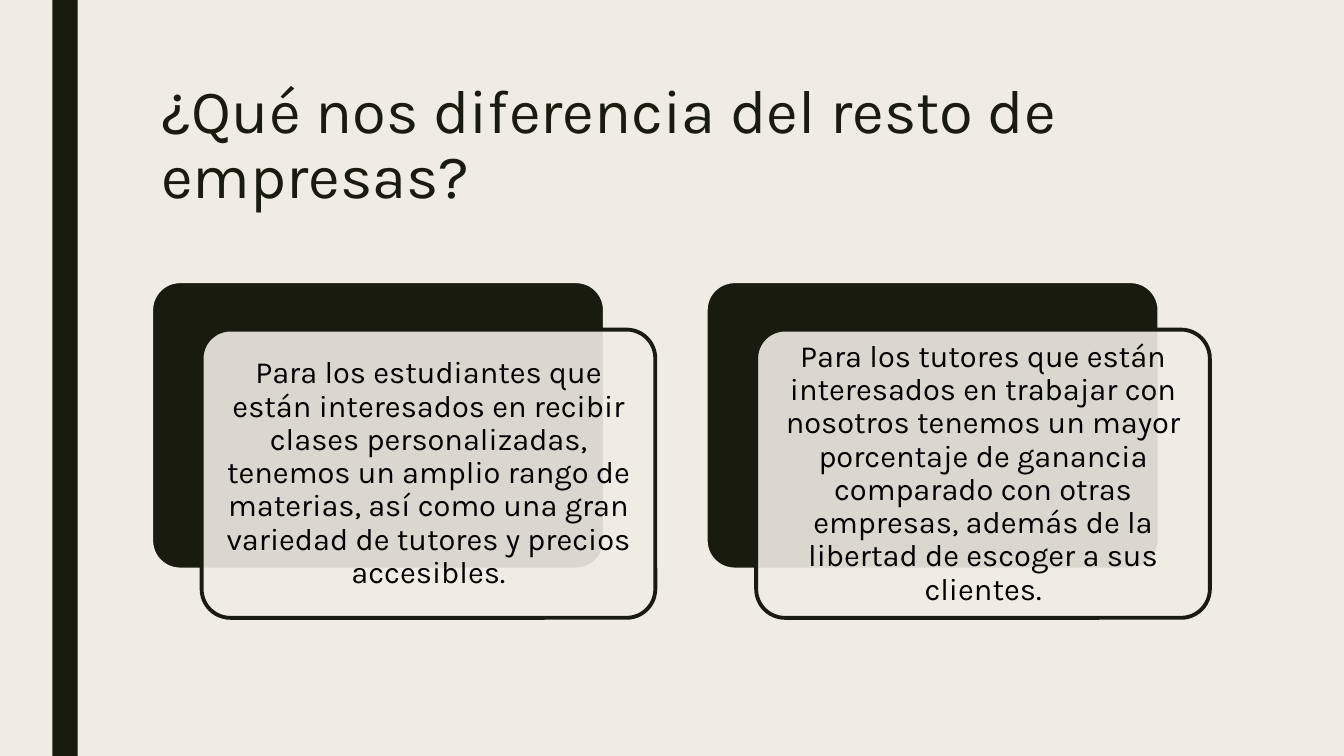
from pptx import Presentation, util as u
from pptx.dml.color import RGBColor
from pptx.enum import shapes, text
from pptx.oxml import ns, xmlchemy

DARK, CREAM, BLACK = "191B0E", "EFEDE3", "000000"
CARD_WIDTH, CARD_HEIGHT = 4.5, 2.86
CARD_LEFT, CARD_TOP, CARD_PITCH = 1.5, 2.79, 5.5
FRONT_SHIFT = (0.5, 0.48)
TEXT_MARGIN = 0.08

TITLE = "¿Qué nos diferencia del resto de empresas?"
REASONS = [
    "Para los estudiantes que están interesados en recibir clases personalizadas, "
    "tenemos un amplio rango de materias, así como una gran variedad de tutores "
    "y precios accesibles.",
    "Para los tutores que están interesados en trabajar con nosotros tenemos un "
    "mayor porcentaje de ganancia comparado con otras empresas, además de la "
    "libertad de escoger a sus clientes.",
]


def color(value):
    return RGBColor.from_string(value)


class SlideBuilder:
    font = "Karla"
    line_width = 2.75
    corner = 0.1

    def __init__(self, slide, background):
        self.slide = slide
        fill = slide.background.fill
        fill.solid()
        fill.fore_color.rgb = color(background)

    def panel(self, left, top, width, height, fill, line=None, rounded=False, opacity=100):
        """Draw a filled rectangle, with opacity in percent."""
        kinds = shapes.MSO_SHAPE
        shape = self.slide.shapes.add_shape(
            kinds.ROUNDED_RECTANGLE if rounded else kinds.RECTANGLE,
            *map(u.Inches, (left, top, width, height)))
        shape.shadow.inherit = False
        if rounded:
            shape.adjustments[0] = self.corner
        shape.fill.solid()
        shape.fill.fore_color.rgb = color(fill)
        if opacity < 100:
            fill_color = shape.fill._xPr.find(".//" + ns.qn("a:srgbClr"))
            alpha = xmlchemy.OxmlElement("a:alpha")
            alpha.set("val", str(opacity * 1000))
            fill_color.append(alpha)
        if line:
            shape.line.color.rgb = color(line)
            shape.line.width = u.Pt(self.line_width)
        else:
            shape.line.fill.background()

    def text(self, content, left, top, width, height, *, size, ink, spacing=0.9,
             align=text.PP_ALIGN.LEFT, anchor=text.MSO_ANCHOR.TOP,
             insets=(0.1, 0.05, 0.1, 0.05)):
        box = self.slide.shapes.add_textbox(*map(u.Inches, (left, top, width, height)))
        frame = box.text_frame
        frame.word_wrap = True
        frame.vertical_anchor = anchor
        (frame.margin_left, frame.margin_top,
         frame.margin_right, frame.margin_bottom) = map(u.Inches, insets)
        paragraph = frame.paragraphs[0]
        paragraph.alignment = align
        paragraph.line_spacing = spacing
        run = paragraph.add_run()
        run.text = content
        run.font.name = self.font
        run.font.size = u.Pt(size)
        run.font.color.rgb = color(ink)

    def card(self, content, left, top):
        """Draw a dark panel with a translucent text panel shifted over it."""
        self.panel(left, top, CARD_WIDTH, CARD_HEIGHT, DARK, line=CREAM, rounded=True)
        left, top = left + FRONT_SHIFT[0], top + FRONT_SHIFT[1]
        self.panel(left, top, CARD_WIDTH, CARD_HEIGHT, CREAM,
                   line=DARK, rounded=True, opacity=90)
        self.text(content, left + TEXT_MARGIN, top + TEXT_MARGIN,
                  CARD_WIDTH - 2 * TEXT_MARGIN, CARD_HEIGHT - 2 * TEXT_MARGIN,
                  size=22, ink=BLACK, align=text.PP_ALIGN.CENTER,
                  anchor=text.MSO_ANCHOR.MIDDLE, insets=(0.09,) * 4)


def main():
    presentation = Presentation()
    presentation.slide_width = u.Inches(13.33)
    presentation.slide_height = u.Inches(7.5)
    slide = presentation.slides.add_slide(presentation.slide_layouts[6])
    builder = SlideBuilder(slide, CREAM)
    builder.panel(0.52, 0, 0.25, 7.5, DARK)
    builder.text(TITLE, 1.5, 0.75, 10.5, 1.62, size=44, ink=DARK, spacing=0.89)
    for index, reason in enumerate(REASONS):
        builder.card(reason, CARD_LEFT + index * CARD_PITCH, CARD_TOP)
    presentation.save("out.pptx")


if __name__ == "__main__":
    main()
